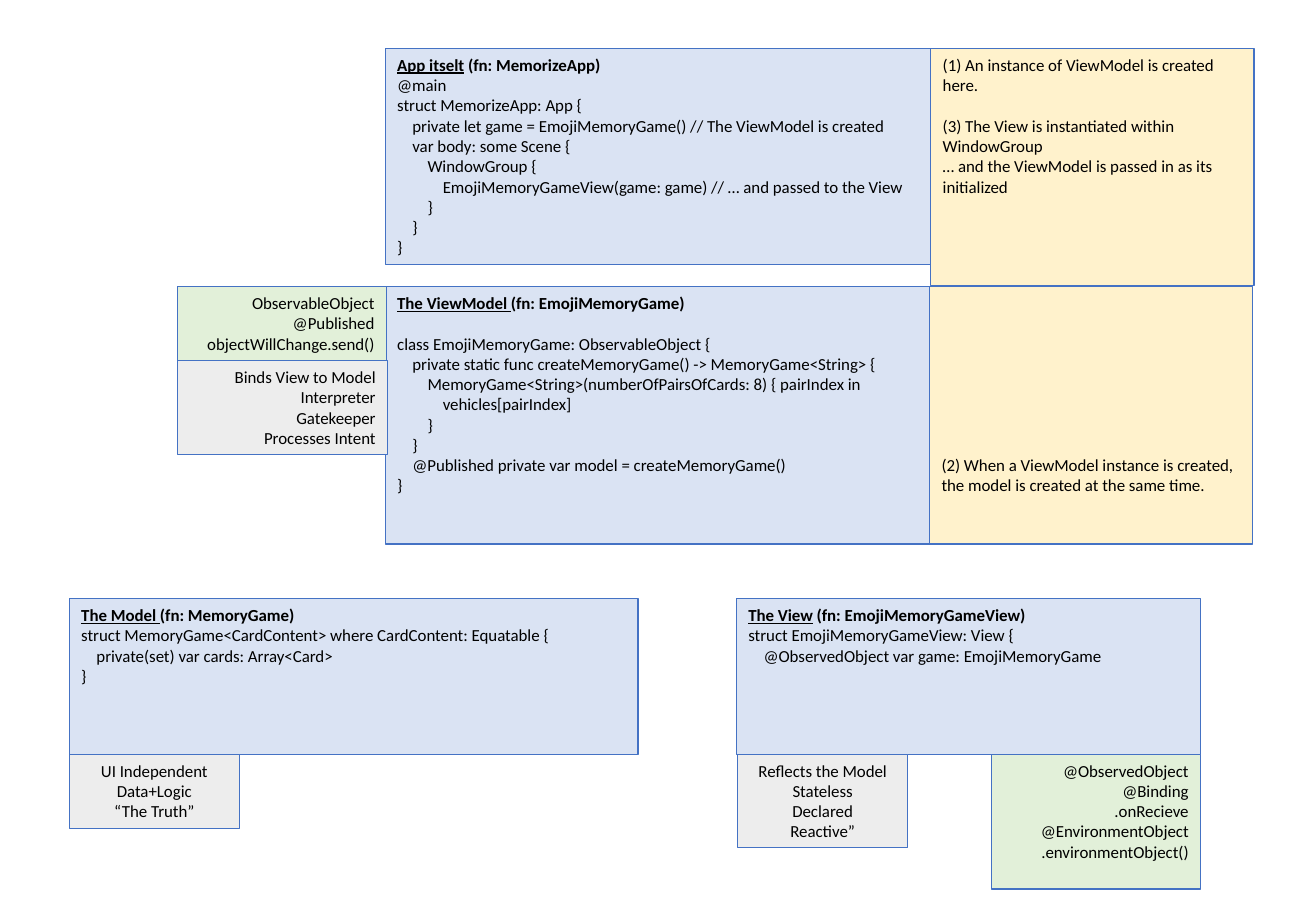
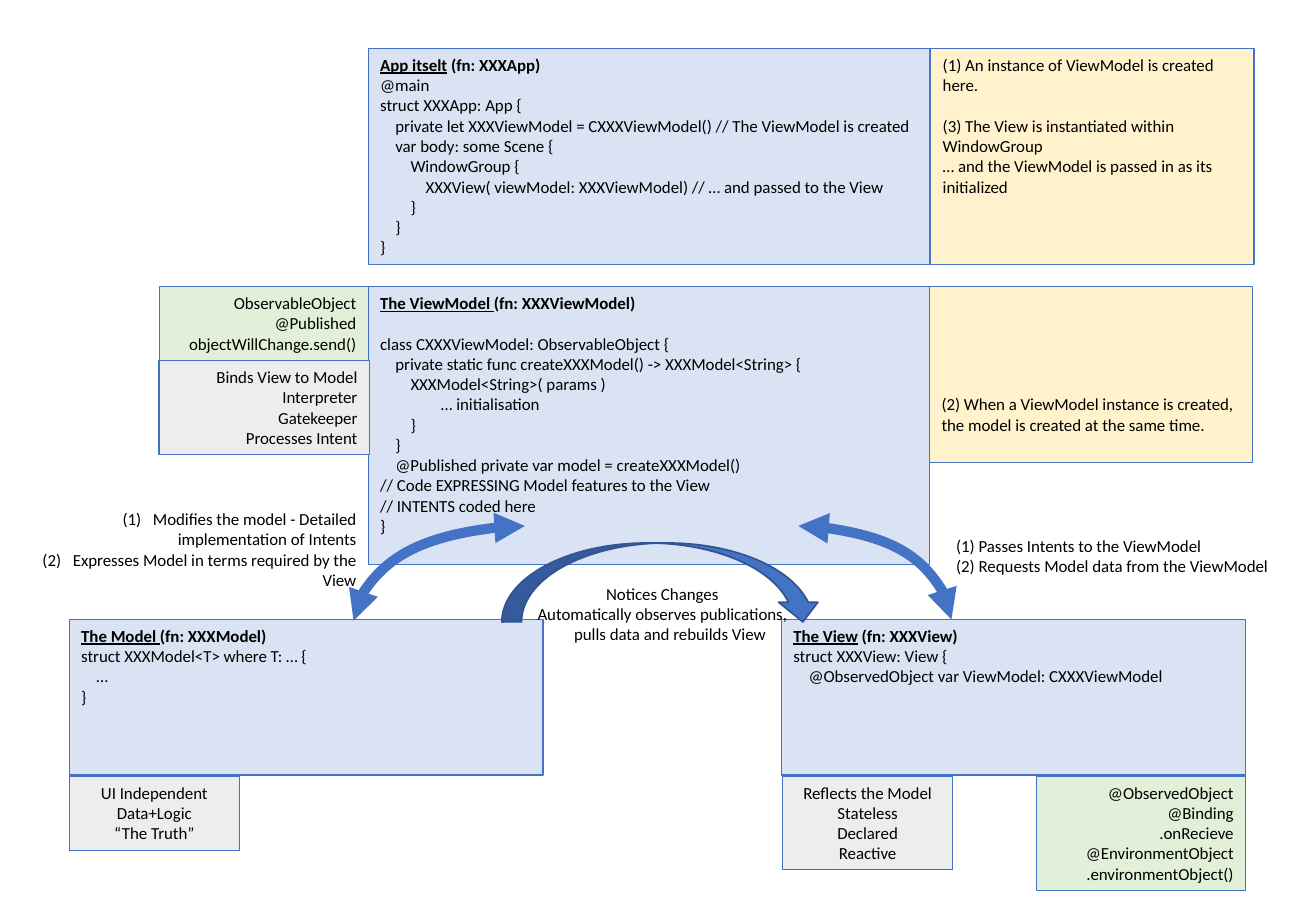
"""Build two slides that map the parts of an MVVM app."""
from dataclasses import dataclass

from lxml.etree import SubElement
from pptx import Presentation
from pptx.dml.color import RGBColor
from pptx.enum.shapes import MSO_CONNECTOR, MSO_SHAPE
from pptx.enum.text import MSO_ANCHOR, PP_ALIGN
from pptx.oxml.ns import qn
from pptx.util import Inches, Pt


@dataclass(frozen=True)
class Theme:
    font: str = "Calibri"
    size: int = 10
    row: int = 12
    step: float = 0.125
    hair: float = 0.75
    thick: int = 6
    ink: str = "000000"
    edge: str = "4472C4"
    rim: str = "325491"
    code: str = "DAE3F3"
    note: str = "FFF2CC"
    api: str = "E2F0D9"
    role: str = "EDEDED"


@dataclass(frozen=True)
class Plan:
    mid: float
    width: float
    side: float
    deep: float
    notes: tuple
    drop: int
    low: float
    foot: float
    span: float
    view: float
    tall: float
    last: str
    app_code: tuple
    vm_code: tuple
    model_code: tuple
    view_code: tuple


THEME = Theme()
LEFT, CENTER, RIGHT = PP_ALIGN.LEFT, PP_ALIGN.CENTER, PP_ALIGN.RIGHT

GAME = Plan(
    mid=3.17, width=4.49, side=1.46, deep=2.12, notes=(1.95, 2.12), drop=8,
    low=4.93, foot=6.21, span=4.68, view=6.06, tall=1.11, last="Reactive”",
    app_code=(
        ("App itselt", " (fn: MemorizeApp)"),
        "@main",
        "struct MemorizeApp: App {",
        "\tprivate let game = EmojiMemoryGame() // The ViewModel is created",
        "\tvar body: some Scene {",
        "\t\tWindowGroup {",
        "\t\t\tEmojiMemoryGameView(game: game) // … and passed to the View",
        "\t\t}", "\t}", "}"),
    vm_code=(
        ("The ViewModel ", "(fn: EmojiMemoryGame)"),
        "\nclass EmojiMemoryGame: ObservableObject {",
        "\tprivate static func createMemoryGame() -> MemoryGame<String> {",
        "\t\tMemoryGame<String>(numberOfPairsOfCards: 8) { pairIndex in",
        "\t\t\tvehicles[pairIndex]",
        "\t\t}", "\t}",
        "\t@Published private var model = createMemoryGame()", "}"),
    model_code=(
        ("The Model ", "(fn: MemoryGame)"),
        "struct MemoryGame<CardContent> where CardContent: Equatable {",
        "\tprivate(set) var cards: Array<Card>", "}"),
    view_code=(
        ("The View", " (fn: EmojiMemoryGameView)"),
        "struct EmojiMemoryGameView: View {",
        "\t@ObservedObject var game: EmojiMemoryGame"))

GENERIC = Plan(
    mid=3.03, width=4.62, side=1.31, deep=2.29, notes=(1.78, 1.45), drop=5,
    low=5.1, foot=6.39, span=3.9, view=6.43, tall=0.94, last="Reactive",
    app_code=(
        ("App itselt", " (fn: XXXApp)"),
        "@main",
        "struct XXXApp: App {",
        "\tprivate let XXXViewModel = CXXXViewModel() // The ViewModel is created",
        "\tvar body: some Scene {",
        "\t\tWindowGroup {",
        "\t\t\tXXXView( viewModel: XXXViewModel) // … and passed to the View",
        "\t\t}", "\t}", "}"),
    vm_code=(
        ("The ViewModel ", "(fn: XXXViewModel)"),
        "\nclass CXXXViewModel: ObservableObject {",
        "\tprivate static func createXXXModel() -> XXXModel<String> {",
        "\t\tXXXModel<String>( params )",
        "\t\t\t\t… initialisation",
        "\t\t}", "\t}",
        "\t@Published private var model = createXXXModel()",
        "// Code EXPRESSING Model features to the View",
        "// INTENTS coded here", "}"),
    model_code=(
        ("The Model ", "(fn: XXXModel)"),
        "struct XXXModel<T> where T: … {", "\t…", "}"),
    view_code=(
        ("The View", " (fn: XXXView)"),
        "struct XXXView: View {",
        "\t@ObservedObject var ViewModel: CXXXViewModel"))


def color(code):
    return RGBColor.from_string(code)


def write(frame, lines, align=LEFT):
    """Write lines: a pair is a heading, a tab indents, a newline adds a gap."""
    for i, line in enumerate(lines):
        para = frame.paragraphs[0] if i == 0 else frame.add_paragraph()
        para.alignment = align
        font = para.font
        font.name, font.size = THEME.font, Pt(THEME.size)
        font.color.rgb = color(THEME.ink)
        if isinstance(line, tuple):
            font.bold = True
            for part in line:
                para.add_run().text = part
            para.runs[0].font.underline = True
            continue
        para.add_run().text = line.strip()
        if line.startswith("\n"):
            para.space_before = Pt(THEME.row)
        level = line.count("\t")
        if level:
            para._p.get_or_add_pPr().set("marL", str(Inches(level * THEME.step)))


def shape(slide, kind, at, fill, edge, weight):
    """Add a flat shape whose text starts at the top."""
    item = slide.shapes.add_shape(kind, *map(Inches, at))
    item.shadow.inherit = False
    item.fill.solid()
    item.fill.fore_color.rgb = color(fill)
    item.line.color.rgb = color(edge)
    item.line.width = Pt(weight)
    item.text_frame.word_wrap = True
    item.text_frame.vertical_anchor = MSO_ANCHOR.TOP
    return item


def box(slide, at, fill, lines, align=LEFT, drop=0):
    """Add a bordered box, its text lowered by a number of rows."""
    item = shape(slide, MSO_SHAPE.RECTANGLE, at, fill, THEME.edge, THEME.hair)
    item.text_frame.margin_top += Pt(drop * THEME.row)
    write(item.text_frame, lines, align)


def label(slide, at, lines, align=LEFT, wrap=True):
    """Add plain text and return its frame."""
    frame = slide.shapes.add_textbox(*map(Inches, at)).text_frame
    frame.word_wrap = wrap
    write(frame, lines, align)
    return frame


def number(frame):
    """Number the paragraphs with a hanging indent."""
    for para in frame.paragraphs:
        props = para._p.get_or_add_pPr()
        props.set("marL", str(Inches(0.25)))
        props.set("indent", str(-Inches(0.25)))
        mark = SubElement(props, qn("a:buAutoNum"), type="arabicParenBoth")
        props.insert(0, mark)


def bend(slide, *ends):
    """Add a quarter curve with an arrowhead at each end."""
    link = slide.shapes.add_connector(MSO_CONNECTOR.CURVE, *map(Inches, ends))
    link.line.color.rgb = color(THEME.edge)
    link.line.width = Pt(THEME.thick)
    props = link._element.spPr
    props.find(qn("a:prstGeom")).set("prst", "curvedConnector2")
    for tag in ("a:headEnd", "a:tailEnd"):
        SubElement(props.find(qn("a:ln")), qn(tag), type="triangle")
    SubElement(props, qn("a:effectLst"))


def parts(slide, plan):
    """Draw the code boxes with their notes and tags."""
    top, row, edge, note = 0.4, 2.36, 0.57, 2.66
    for at, lines in (
            ((plan.mid, top, plan.width, 1.78), plan.app_code),
            ((plan.view, plan.low, 3.82, 1.28), plan.view_code),
            ((edge, plan.low, plan.span, 1.28), plan.model_code),
            ((plan.mid, row, plan.width, plan.deep), plan.vm_code)):
        box(slide, at, THEME.code, lines)

    first, second = plan.notes
    box(slide, (7.66, top, note, first), THEME.note, (
        "(1) An instance of ViewModel is created here.",
        "\n(3) The View is instantiated within WindowGroup",
        "… and the ViewModel is passed in as its initialized"))
    box(slide, (7.65, row, note, second), THEME.note, (
        "(2) When a ViewModel instance is created, "
        "the model is created at the same time.",), drop=plan.drop)

    box(slide, (plan.side, row, 1.72, 0.61), THEME.api,
        ("ObservableObject", "@Published", "objectWillChange.send()"), RIGHT)
    box(slide, (plan.view + 2.1, plan.foot, 1.72, plan.tall), THEME.api,
        ("@ObservedObject", "@Binding", ".onRecieve",
         "@EnvironmentObject", ".environmentObject()"), RIGHT)
    box(slide, (edge, plan.foot, 1.4, 0.61), THEME.role,
        ("UI Independent", "Data+Logic", "“The Truth”"), CENTER)
    box(slide, (plan.view + 0.01, plan.foot, 1.4, 0.77), THEME.role,
        ("Reflects the Model", "Stateless", "Declared", plan.last), CENTER)
    box(slide, (plan.side, row + 0.61, 1.73, 0.77), THEME.role,
        ("Binds View to Model", "Interpreter", "Gatekeeper",
         "Processes Intent"), RIGHT)


def flow(slide):
    """Draw the arrows between the parts and say what they carry."""
    bend(slide, 4.32, 4.33, 2.91, 5.11)
    number(label(slide, (0, 4.14, 3.03, 0.77), (
        "Modifies the model - Detailed implementation of Intents",
        "Expresses Model in terms required by the View"), RIGHT))
    bend(slide, 6.57, 4.33, 7.83, 5.1)
    label(slide, (7.77, 4.36, 2.81, 0.44), (
        "(1) Passes Intents to the ViewModel",
        "(2) Requests Model data from the ViewModel"), wrap=False)
    arc = shape(slide, MSO_SHAPE.CURVED_DOWN_ARROW, (4.13, 4.47, 2.64, 0.65),
                THEME.edge, THEME.rim, 1)
    arc.text_frame.margin_top = Pt(2 * THEME.row)
    arc.text_frame.margin_bottom = 0
    write(arc.text_frame, (
        "Notices Changes",
        "Automatically observes publications,",
        "\tpulls data and rebuilds View"), CENTER)


def main():
    deck = Presentation()
    deck.slide_width, deck.slide_height = Inches(10.83), Inches(7.5)
    blank = deck.slide_layouts[6]
    parts(deck.slides.add_slide(blank), GAME)
    slide = deck.slides.add_slide(blank)
    parts(slide, GENERIC)
    flow(slide)
    deck.save("out.pptx")


main()
